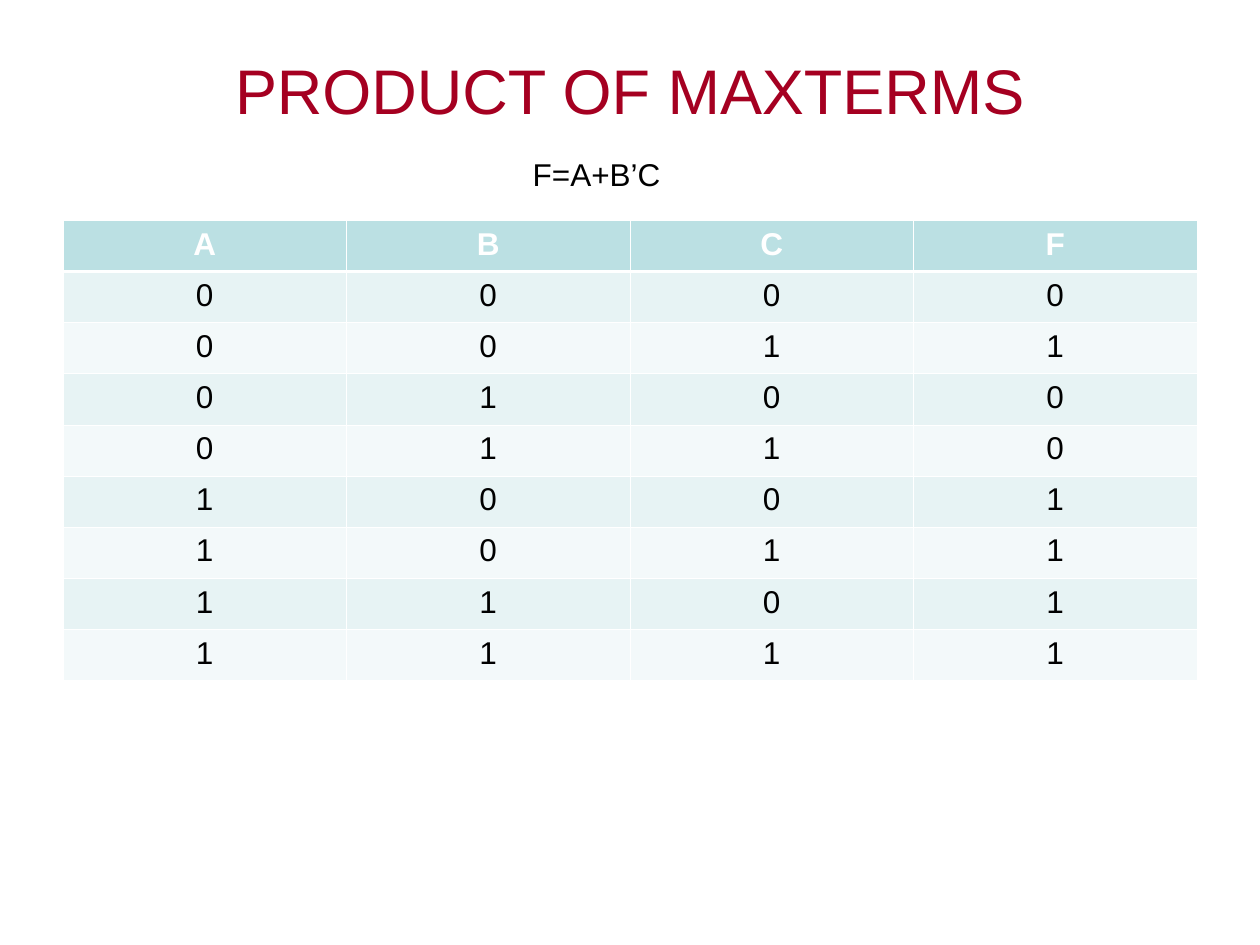
"""Build a slide with the truth table of F=A+B’C."""
import itertools

import lxml.etree
import pptx
import pptx.dml.color
import pptx.enum.text
import pptx.oxml.ns
import pptx.util

Inches = pptx.util.Inches
RGBColor = pptx.dml.color.RGBColor
ALIGN = pptx.enum.text.PP_ALIGN
ANCHOR = pptx.enum.text.MSO_ANCHOR

CRIMSON = RGBColor(0xA5, 0x00, 0x21)
BLACK = RGBColor(0x00, 0x00, 0x00)
WHITE = RGBColor(0xFF, 0xFF, 0xFF)
HEADER_TEAL = RGBColor(0xBB, 0xE0, 0xE3)
ROW_TINTS = (RGBColor(0xE7, 0xF3, 0xF4), RGBColor(0xF3, 0xF9, 0xFA))
THIN, THICK = 0.45, 1.47


def write_text(frame, text, size=18, color=BLACK, bold=False, align=ALIGN.LEFT):
    paragraph = frame.paragraphs[0]
    paragraph.alignment = align
    run = paragraph.add_run()
    run.text = text
    run.font.name = "Arial"
    run.font.size = pptx.util.Pt(size)
    run.font.bold = bold
    run.font.color.rgb = color


def add_label(slide, text, left, top, width, height, anchor=ANCHOR.TOP, **text_format):
    frame = slide.shapes.add_textbox(
        Inches(left), Inches(top), Inches(width), Inches(height)
    ).text_frame
    frame.word_wrap = True
    frame.vertical_anchor = anchor
    write_text(frame, text, **text_format)


def set_borders(cell, top, bottom):
    properties = cell._tc.get_or_add_tcPr()
    qn = pptx.oxml.ns.qn
    for side, weight in (("L", THIN), ("R", THIN), ("T", top), ("B", bottom)):
        border = lxml.etree.SubElement(
            properties, qn(f"a:ln{side}"), w=str(pptx.util.Pt(weight))
        )
        fill = lxml.etree.SubElement(border, qn("a:solidFill"))
        lxml.etree.SubElement(fill, qn("a:srgbClr"), val=str(WHITE))


def truth_rows():
    return [
        (a, b, c, int(a or (not b and c)))
        for a, b, c in itertools.product((0, 1), repeat=3)
    ]


def add_truth_table(slide):
    rows = [("A", "B", "C", "F"), *truth_rows()]
    table = slide.shapes.add_table(
        len(rows), len(rows[0]), Inches(0.5), Inches(1.75), Inches(9), Inches(3.65)
    ).table
    for row_index, values in enumerate(rows):
        header = row_index == 0
        for column_index, value in enumerate(values):
            cell = table.cell(row_index, column_index)
            set_borders(
                cell,
                top=THICK if row_index == 1 else THIN,
                bottom=THICK if header else THIN,
            )
            cell.fill.solid()
            cell.fill.fore_color.rgb = (
                HEADER_TEAL if header else ROW_TINTS[(row_index - 1) % 2]
            )
            write_text(
                cell.text_frame,
                str(value),
                color=WHITE if header else BLACK,
                bold=header,
                align=ALIGN.CENTER,
            )


def main():
    presentation = pptx.Presentation()
    presentation.slide_width = Inches(10)
    presentation.slide_height = Inches(7.5)
    slide = presentation.slides.add_slide(presentation.slide_layouts[6])
    add_label(
        slide, "PRODUCT OF MAXTERMS", 0.5, 0.28, 9, 0.85,
        anchor=ANCHOR.MIDDLE, size=36, color=CRIMSON, align=ALIGN.CENTER,
    )
    add_truth_table(slide)
    add_label(slide, "F=A+B’C", 4.13, 1.18, 2.44, 0.4)
    presentation.save("out.pptx")


if __name__ == "__main__":
    main()
